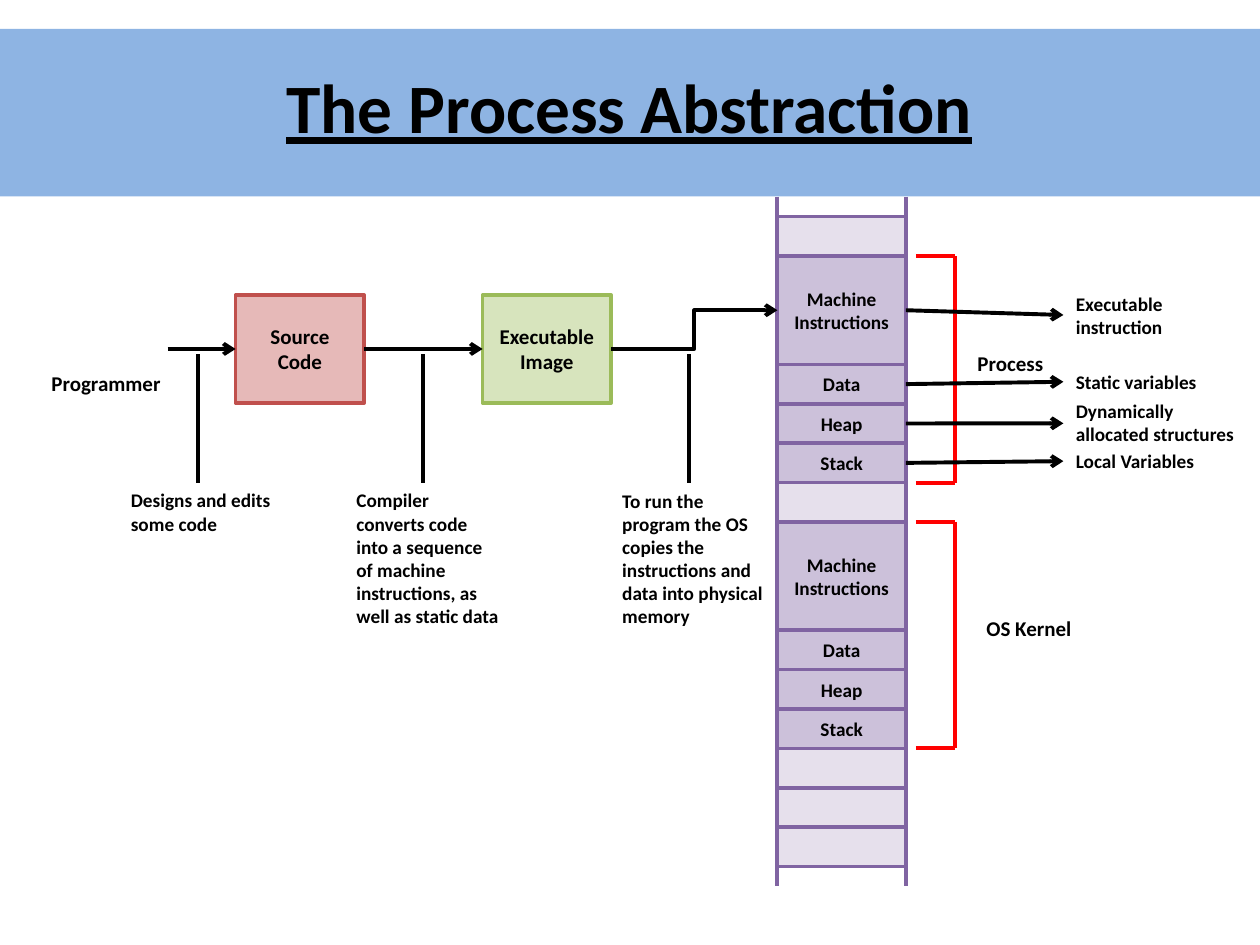
import pptx
import pptx.util
import pptx.dml.color
import pptx.enum.shapes
import pptx.enum.text
import pptx.oxml.ns
from lxml import etree

Inches = pptx.util.Inches
Pt = pptx.util.Pt
RGBColor = pptx.dml.color.RGBColor
ALIGN = pptx.enum.text.PP_ALIGN
ANCHOR = pptx.enum.text.MSO_ANCHOR
LINK = pptx.enum.shapes.MSO_CONNECTOR
RECTANGLE = pptx.enum.shapes.MSO_SHAPE.RECTANGLE

BLACK = RGBColor(0x00, 0x00, 0x00)
RED = RGBColor(0xFF, 0x00, 0x00)
BAND = RGBColor(0x8E, 0xB4, 0xE3)
ROSE = RGBColor(0xE6, 0xB9, 0xB8)
BRICK = RGBColor(0xC0, 0x50, 0x4D)
LIME = RGBColor(0xD7, 0xE4, 0xBD)
GREEN = RGBColor(0x9B, 0xBB, 0x59)
LILAC = RGBColor(0xCC, 0xC1, 0xDA)
PALE = RGBColor(0xE6, 0xE0, 0xEC)
PURPLE = RGBColor(0x80, 0x64, 0xA2)

BOX_WIDTH, BLOCK, SLOT = 1.02, 0.86, 5 / 16
MEMORY_LEFT, MEMORY_TOP = 6.17, 1.72
MEMORY_RIGHT = MEMORY_LEFT + BOX_WIDTH
RAIL_TOP, RAIL_BOTTOM = 1.56, 7.03
STAGE_TOP, FLOW_Y = 2.34, 2.77
NOTE_TOP, STEM_TOP, NOTE_WIDTH = 3.83, 2.81, 1.33
BRACKET_LEFT, BRACKET_RIGHT = 7.27, 7.58
LABEL_LEFT = 8.44

TITLE = "The Process Abstraction\v"
STAGES = [("Source Code", 1.87, ROSE, BRICK), ("Executable Image", 3.83, LIME, GREEN)]
IMAGE_ROWS = ["Machine Instructions", "Data", "Heap", "Stack"]
MEMORY = [""] + IMAGE_ROWS + [""] + IMAGE_ROWS + [""] * 3
BRACKETS = [(1, 4), (6, 9)]
ROLES = [
    ("Programmer", 0.31, 2.89, 1.08),
    ("Process", 7.66, 2.73, 0.73),
    ("OS Kernel", 7.73, 4.84, 0.88),
]
NOTES = [
    ("Designs and edits some code", 0.94, 0.47),
    ("Compiler converts code into a sequence of machine instructions, "
     "as well as static data", 2.73, 1.4),
    ("To run the program the OS copies the instructions and data into "
     "physical memory", 4.84, 1.21),
]
PARTS = [
    ("Executable instruction", 2.27, 0.47, 2.5),
    ("Static variables", 2.89, 0.29, 3.03),
    ("Dynamically allocated structures", 3.12, 0.47, 3.36),
    ("Local Variables", 3.52, 0.29, 3.66),
]

deck = pptx.Presentation()
deck.slide_width, deck.slide_height = Inches(10), Inches(7.5)
page = deck.slides.add_slide(deck.slide_layouts[6])


def write(box, text, size, align=ALIGN.LEFT, anchor=ANCHOR.TOP):
    frame = box.text_frame
    frame.word_wrap = True
    frame.vertical_anchor = anchor
    para = frame.paragraphs[0]
    para.text = text
    para.alignment = align
    para.font.name = "Calibri"
    para.font.size = Pt(size)
    para.font.bold = True
    para.font.color.rgb = BLACK
    return para


def add_box(left, top, width, height, fill, edge=None, text="", size=11):
    box = page.shapes.add_shape(
        RECTANGLE, Inches(left), Inches(top), Inches(width), Inches(height))
    box.shadow.inherit = False
    box.fill.solid()
    box.fill.fore_color.rgb = fill
    if edge is None:
        box.line.fill.background()
    else:
        box.line.color.rgb = edge
        box.line.width = Pt(2)
    if text:
        write(box, text, size, ALIGN.CENTER, ANCHOR.MIDDLE)
    return box


def add_label(text, left, top, width, height, size, **layout):
    box = page.shapes.add_textbox(
        Inches(left), Inches(top), Inches(width), Inches(height))
    return write(box, text, size, **layout)


def add_line(start, end, color=BLACK, arrow=False, kind=LINK.STRAIGHT):
    line = page.shapes.add_connector(kind, *[Inches(v) for v in (*start, *end)])
    line.line.color.rgb = color
    line.line.width = Pt(2.25)
    if arrow:
        etree.SubElement(line.line._get_or_add_ln(),
                         pptx.oxml.ns.qn("a:tailEnd"), type="arrow")
    etree.SubElement(line._element.spPr, pptx.oxml.ns.qn("a:effectLst"))
    return line


add_box(0, 0.23, 10, 1.33, BAND)
title = add_label(TITLE, 0.23, 0.7, 9.53, 0.94, 39.6,
                  align=ALIGN.CENTER, anchor=ANCHOR.MIDDLE)
title.font.underline = True

source, image = [
    add_box(left, STAGE_TOP, BOX_WIDTH, BLOCK, fill, edge, text, 12)
    for text, left, fill, edge in STAGES
]

rows, spans = [], []
top = MEMORY_TOP
for text in MEMORY:
    height = BLOCK if text == IMAGE_ROWS[0] else SLOT
    rows.append(add_box(MEMORY_LEFT, top, BOX_WIDTH, height,
                        LILAC if text else PALE, PURPLE, text))
    spans.append((top, top + height))
    top += height

for x in (MEMORY_LEFT, MEMORY_RIGHT):
    add_line((x, RAIL_TOP), (x, RAIL_BOTTOM), PURPLE)

for first, last in BRACKETS:
    upper, lower = spans[first][0], spans[last][1]
    for y in (upper, lower):
        add_line((BRACKET_LEFT, y), (BRACKET_RIGHT, y), RED)
    add_line((BRACKET_RIGHT, upper), (BRACKET_RIGHT, lower), RED)

for text, left, top, width in ROLES:
    add_label(text, left, top, width, 0.3, 12)

entry = add_line((1.33, FLOW_Y), (1.87, FLOW_Y), arrow=True)
entry.end_connect(source, 1)
for begin, end, kind in [(source, image, LINK.STRAIGHT), (image, rows[1], LINK.ELBOW)]:
    flow = add_line((2.89, FLOW_Y), (3.83, FLOW_Y), arrow=True, kind=kind)
    flow.begin_connect(begin, 3)
    flow.end_connect(end, 1)

for text, left, height in NOTES:
    stem = left + 0.63
    add_line((stem, NOTE_TOP), (stem, STEM_TOP))
    add_label(text, left, NOTE_TOP, NOTE_WIDTH, height, 11)

for row, (text, top, height, tip) in zip(rows[1:5], PARTS):
    pointer = add_line((MEMORY_RIGHT, tip), (LABEL_LEFT, tip), arrow=True)
    pointer.begin_connect(row, 3)
    add_label(text, LABEL_LEFT, top, 1.56, height, 11)

deck.save("out.pptx")
